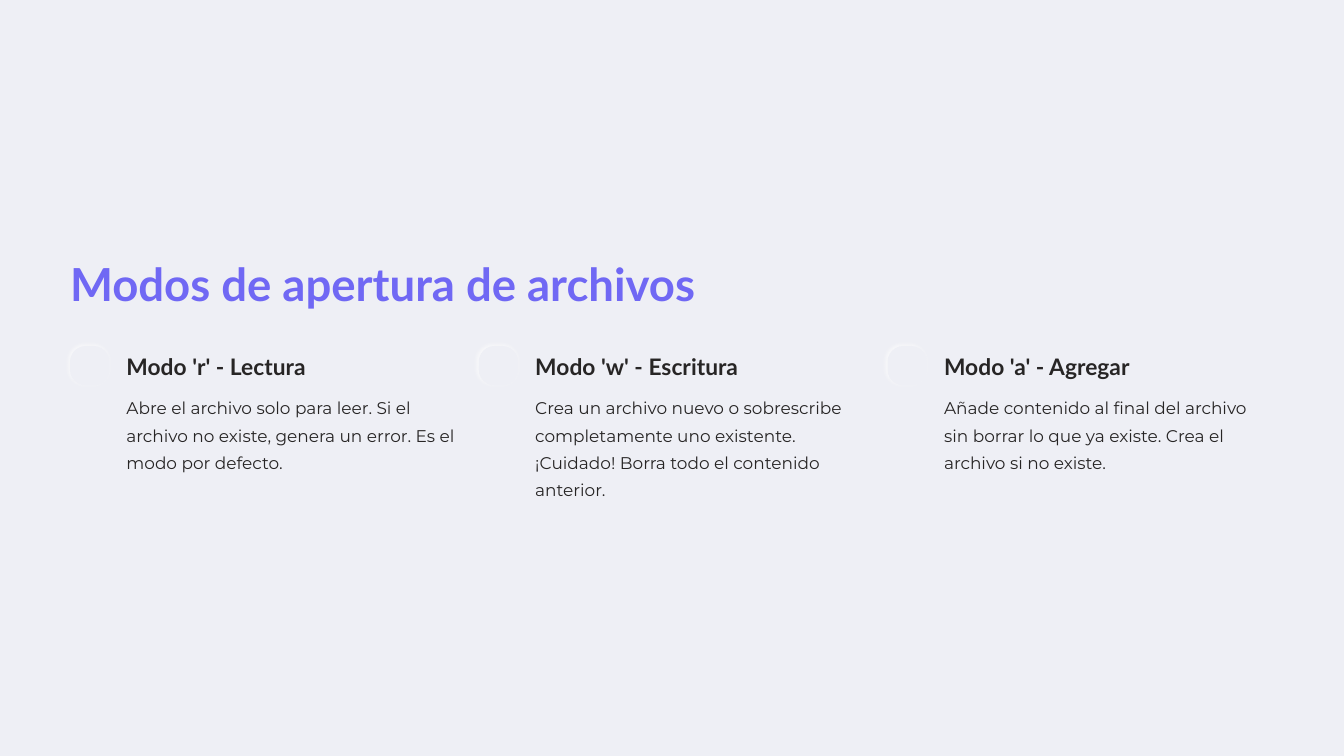
from lxml import etree
from pptx import Presentation
from pptx.dml.color import RGBColor
from pptx.enum import shapes, text
from pptx.oxml import ns
from pptx.util import Pt

TITLE = "Modos de apertura de archivos"
MODES = [
    ("Modo 'r' - Lectura",
     "Abre el archivo solo para leer. Si el archivo no existe, genera un error. "
     "Es el modo por defecto."),
    ("Modo 'w' - Escritura",
     "Crea un archivo nuevo o sobrescribe completamente uno existente. "
     "¡Cuidado! Borra todo el contenido anterior."),
    ("Modo 'a' - Agregar",
     "Añade contenido al final del archivo sin borrar lo que ya existe. "
     "Crea el archivo si no existe."),
]

PALE = RGBColor(0xEE, 0xEF, 0xF5)
VIOLET = RGBColor(0x70, 0x68, 0xF4)
DARK = RGBColor(0x27, 0x25, 0x25)

LEFT, PITCH, INDENT = 60, 350.4, 48.4
BADGE_TOP, BADGE = 296.6, 33.8


def place(shape, x, y, w, h):
    shape.left, shape.top, shape.width, shape.height = map(Pt, (x, y, w, h))


def write(shape, words, size, lead, color, font="Lato", bold=False, wrap=False):
    frame = shape.text_frame
    frame.margin_left = frame.margin_right = 0
    frame.margin_top = frame.margin_bottom = 0
    frame.auto_size = text.MSO_AUTO_SIZE.NONE
    frame.vertical_anchor = text.MSO_ANCHOR.TOP
    frame.word_wrap = wrap
    frame.text = words
    para = frame.paragraphs[0]
    para.alignment = text.PP_ALIGN.LEFT
    para.line_spacing = Pt(lead)
    face = para.runs[0].font
    face.name, face.size, face.bold = font, Pt(size), bold
    face.color.rgb = color


def glow(shape):
    """Give the shape a soft white shadow to the upper left."""
    shape.shadow.inherit = False
    effects = shape._element.spPr.find(ns.qn("a:effectLst"))
    outer = etree.SubElement(effects, ns.qn("a:outerShdw"), blurRad=str(Pt(3.7)),
                             dist=str(Pt(1.8)), dir=str(225 * 60000),
                             algn="bl", rotWithShape="0")
    tint = etree.SubElement(outer, ns.qn("a:srgbClr"), val="FFFFFF")
    etree.SubElement(tint, ns.qn("a:alpha"), val="70000")


def add_mode(slide, x, head, body):
    badge = slide.shapes.add_shape(shapes.MSO_SHAPE.ROUNDED_RECTANGLE,
                                   Pt(x), Pt(BADGE_TOP), Pt(BADGE), Pt(BADGE))
    badge.adjustments[0] = 0.4
    badge.fill.solid()
    badge.fill.fore_color.rgb = PALE
    badge.line.fill.background()
    glow(badge)

    x += INDENT
    label = slide.shapes.add_textbox(Pt(x), Pt(301.7), Pt(196.6), Pt(24.5))
    write(label, head, 19.5, 24.5, DARK, bold=True)
    note = slide.shapes.add_textbox(Pt(x), Pt(334.8), Pt(283), Pt(96))
    write(note, body, 14.5, 23.5, DARK, font="Montserrat", wrap=True)


def main():
    deck = Presentation()
    deck.slide_width, deck.slide_height = Pt(1152), Pt(648)
    slide = deck.slides.add_slide(deck.slide_layouts[5])
    slide.background.fill.solid()
    slide.background.fill.fore_color.rgb = PALE

    title = slide.shapes.title
    place(title, LEFT, 217.4, 570, 49)
    write(title, TITLE, 39, 49, VIOLET, bold=True)

    for i, (head, body) in enumerate(MODES):
        add_mode(slide, LEFT + i * PITCH, head, body)
    deck.save("out.pptx")


if __name__ == "__main__":
    main()
